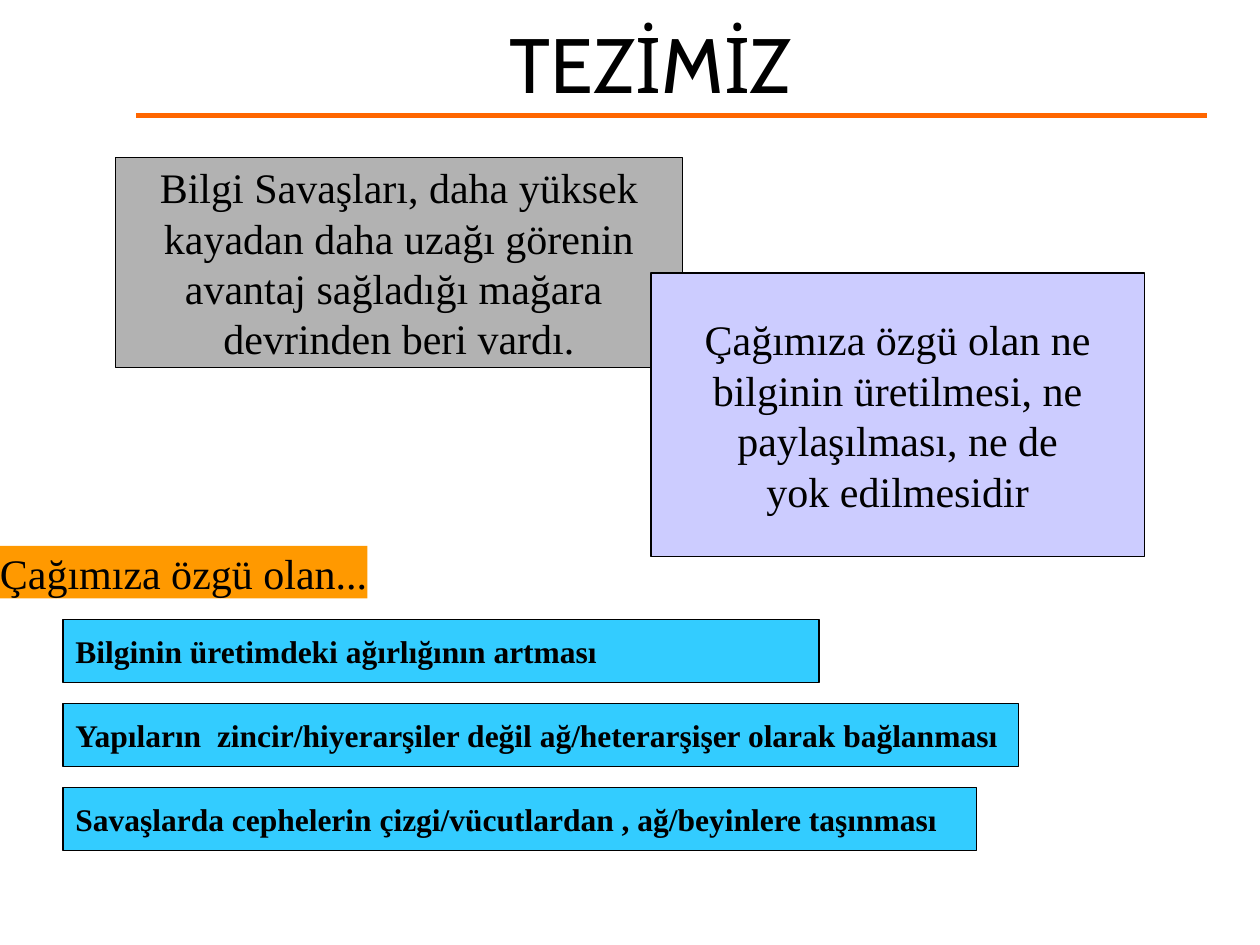
"""Build the TEZİMİZ slide on a grid of 120 columns by 90 rows."""
import pptx
import pptx.dml.color
import pptx.enum.shapes
import pptx.enum.text
import pptx.oxml
import pptx.oxml.ns
import pptx.util

COLORS = {
    "ink": "000000",
    "rule": "FF6600",
    "past": "B2B2B2",
    "present": "CCCCFF",
    "point": "33CCFF",
    "lead": "FF9900",
}
ALIGN = pptx.enum.text.PP_ALIGN
MIDDLE = pptx.enum.text.MSO_ANCHOR.MIDDLE

deck = pptx.Presentation()
deck.slide_width = pptx.util.Inches(10)
deck.slide_height = pptx.util.Inches(7.5)
COLUMN = deck.slide_width // 120
ROW = deck.slide_height // 90


def color(name):
    return pptx.dml.color.RGBColor.from_string(COLORS[name])


def write(frame, lines, size, font, align, bold=False):
    frame.vertical_anchor = MIDDLE
    paragraph = frame.paragraphs[0]
    paragraph.alignment = align
    for index, line in enumerate(lines):
        if index:
            paragraph.add_line_break()
        run = paragraph.add_run()
        run.text = line
        run.font.size = pptx.util.Pt(size)
        run.font.name = font
        run.font.bold = bold
        run.font.color.rgb = color("ink")


slide = deck.slides.add_slide(deck.slide_layouts[5])

title = slide.shapes.title
title.left, title.top = 9 * COLUMN, 1 * ROW
title.width, title.height = 106 * COLUMN, 10 * ROW
write(title.text_frame, ["TEZİMİZ"], 44, "Cabin", ALIGN.CENTER)

rule = slide.shapes.add_connector(
    pptx.enum.shapes.MSO_CONNECTOR.STRAIGHT,
    13 * COLUMN, 11 * ROW, 115 * COLUMN, 11 * ROW)
rule.line.color.rgb = color("rule")
rule.line.width = pptx.util.Pt(3)
rule._element.spPr.append(pptx.oxml.parse_xml(
    f'<a:effectLst {pptx.oxml.ns.nsdecls("a")}/>'))

past = ["Bilgi Savaşları, daha yüksek", "kayadan daha uzağı görenin",
        "avantaj sağladığı mağara ", "devrinden beri vardı."]
present = ["Çağımıza özgü olan ne", "bilginin üretilmesi, ne",
           "paylaşılması, ne de", "yok edilmesidir"]
points = [
    (72, "Bilginin üretimdeki ağırlığının artması"),
    (91, "Yapıların  zincir/hiyerarşiler değil ağ/heterarşişer olarak bağlanması"),
    (87, "Savaşlarda cephelerin çizgi/vücutlardan , ağ/beyinlere taşınması"),
]

boxes = [("past", 11, 15, 54, 20, past), ("present", 62, 26, 47, 27, present)]
for index, (width, point) in enumerate(points):
    boxes.append(("point", 6, 59 + 8 * index, width, 6, [point]))
boxes.append(("lead", 0, 52, 35, 5, ["Çağımıza özgü olan..."]))

for role, left, top, width, height, lines in boxes:
    box = slide.shapes.add_shape(
        pptx.enum.shapes.MSO_SHAPE.RECTANGLE,
        left * COLUMN, top * ROW, width * COLUMN, height * ROW)
    box.shadow.inherit = False
    box.fill.solid()
    box.fill.fore_color.rgb = color(role)
    if role == "lead":
        box.line.fill.background()
    else:
        box.line.color.rgb = color("ink")
        box.line.width = pptx.util.Pt(0.75)
    box.text_frame.word_wrap = False
    is_point = role == "point"
    write(box.text_frame, lines, 18 if is_point else 24, "Times New Roman",
          ALIGN.LEFT if is_point else ALIGN.CENTER, is_point)

deck.save("out.pptx")
